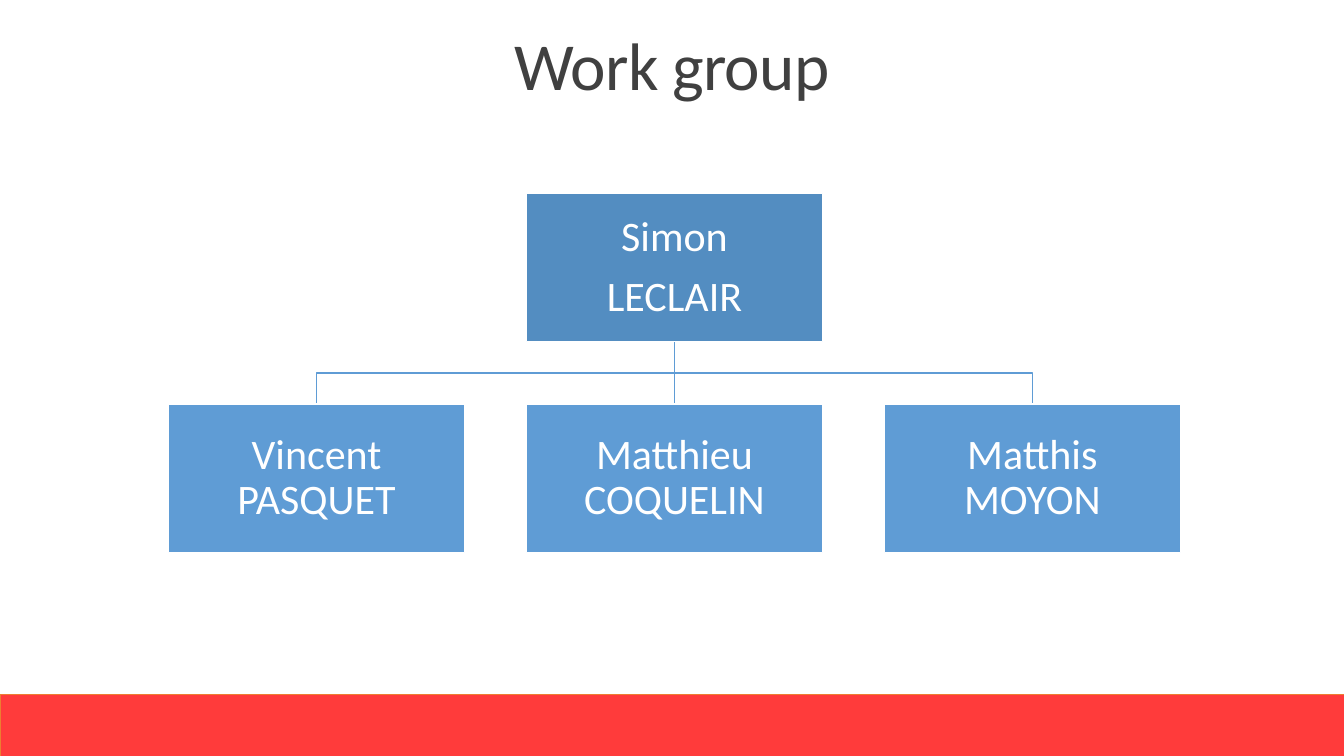
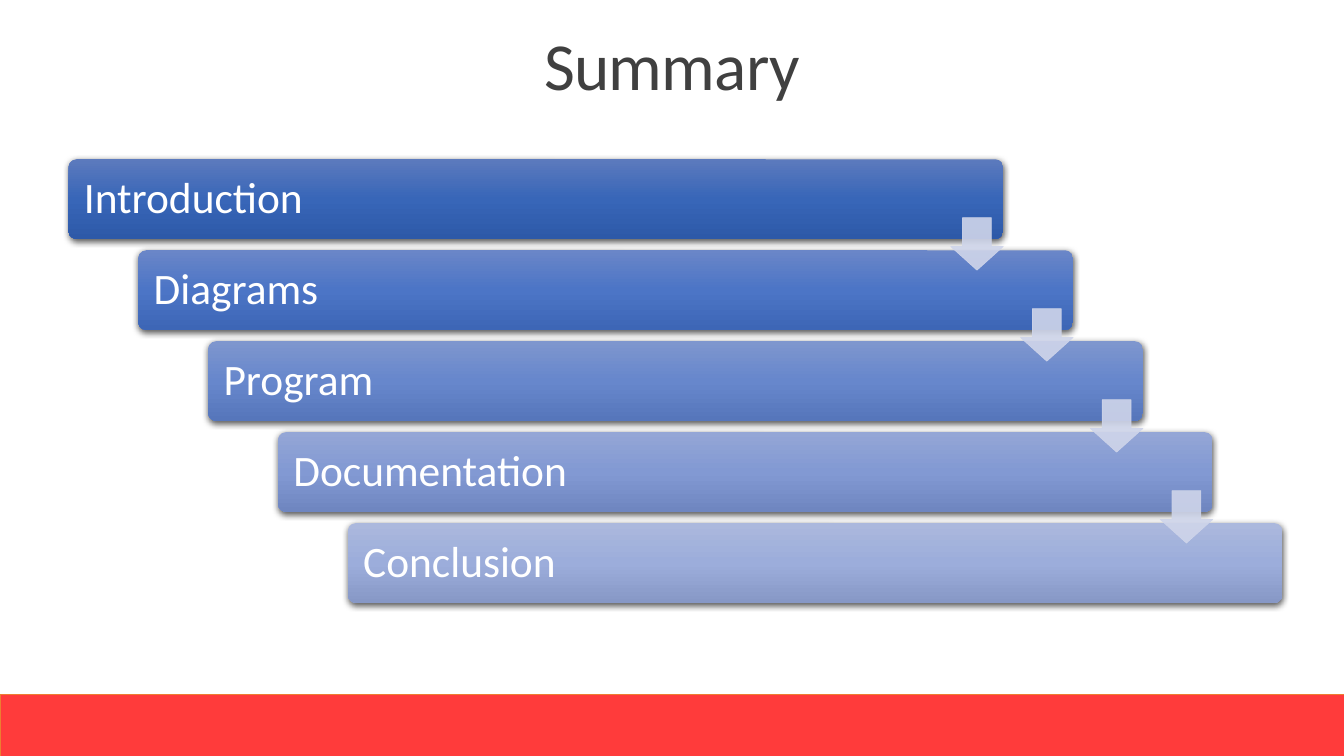
import copy
from dataclasses import dataclass

import lxml.etree
import pptx
import pptx.dml.color
import pptx.enum.shapes
import pptx.enum.text
import pptx.oxml.ns
import pptx.presentation
import pptx.shapes.autoshape
import pptx.slide
import pptx.text.text
import pptx.util

Inches = pptx.util.Inches
Pt = pptx.util.Pt
RGBColor = pptx.dml.color.RGBColor
Shape = pptx.shapes.autoshape.Shape
Slide = pptx.slide.Slide
Kind = pptx.enum.shapes.MSO_SHAPE
Align = pptx.enum.text.PP_ALIGN
Anchor = pptx.enum.text.MSO_ANCHOR
qn = pptx.oxml.ns.qn

FONT = "Calibri"
WHITE = RGBColor(0xFF, 0xFF, 0xFF)
TITLE_GREY = RGBColor(0x40, 0x40, 0x40)
BAND_RED = RGBColor(0xFF, 0x3B, 0x3B)
BAND_EDGE = RGBColor(0xED, 0x7D, 0x31)
LEADER_BLUE = RGBColor(0x53, 0x8D, 0xC1)
MEMBER_BLUE = RGBColor(0x5F, 0x9C, 0xD5)
ARROW_BLUE = RGBColor(0xCF, 0xD5, 0xEA)

SLIDE_WIDTH, SLIDE_HEIGHT = 13.33, 7.5
TITLE_HEIGHT = 1.39
BAND_TOP = 6.89
TITLE_ONLY_LAYOUT = 5


@dataclass(frozen=True)
class Area:
    left: float
    top: float
    width: float
    height: float

    @property
    def center(self) -> float:
        return self.left + self.width / 2

    @property
    def right(self) -> float:
        return self.left + self.width

    @property
    def bottom(self) -> float:
        return self.top + self.height


@dataclass(frozen=True)
class Step:
    label: str
    top_color: RGBColor
    middle_color: RGBColor
    bottom_color: RGBColor


def step(label: str, *colors: str) -> Step:
    return Step(label, *(RGBColor.from_string(color) for color in colors))


# Work group chart
BOX_WIDTH, BOX_HEIGHT = 2.94, 1.47
COLUMN_LEFT, COLUMN_PITCH = 1.67, 3.55
LEADER_TOP, MEMBER_TOP = 1.92, 4.01
LEADER = "Simon\nLECLAIR"
MEMBERS = ["Vincent\vPASQUET", "Matthieu\vCOQUELIN", "Matthis\vMOYON"]

# Summary staircase
FIRST_BAR = Area(0.68, 1.58, 9.27, 0.79)
LAST_LEFT, LAST_TOP = 3.45, 5.19
ARROW_SIZE, ARROW_DROP = 0.52, 0.58
STEPS = [
    step("Introduction", "5C7ABD", "3866B8", "2D59A8"),
    step("Diagrams", "6A86C8", "4C75C6", "3D66B6"),
    step("Program", "7E96CE", "6787CC", "5676BB"),
    step("Documentation", "94A6D6", "8299D3", "6F86C0"),
    step("Conclusion", "ABB8DD", "9CADDB", "8798C6"),
]


def add_plain_shape(slide: Slide, kind: Kind, area: Area) -> Shape:
    """Add a preset shape without the theme's shadow."""
    shape = slide.shapes.add_shape(
        kind, Inches(area.left), Inches(area.top),
        Inches(area.width), Inches(area.height))
    shape.shadow.inherit = False
    return shape


def paint(shape: Shape, fill: RGBColor, line: RGBColor, line_width: float) -> None:
    shape.fill.solid()
    shape.fill.fore_color.rgb = fill
    shape.line.color.rgb = line
    shape.line.width = Pt(line_width)


def format_text(frame: pptx.text.text.TextFrame, size: float, color: RGBColor,
                alignment: Align, line_spacing: float, space_after: float = 0) -> None:
    frame.word_wrap = True
    frame.vertical_anchor = Anchor.MIDDLE
    for para in frame.paragraphs:
        para.alignment = alignment
        para.line_spacing = line_spacing
        para.space_after = Pt(space_after)
        for span in para.runs:
            span.font.name = FONT
            span.font.size = Pt(size)
            span.font.color.rgb = color


def set_margins(frame: pptx.text.text.TextFrame, margin: float) -> None:
    frame.margin_left = frame.margin_right = Inches(margin)
    frame.margin_top = frame.margin_bottom = Inches(margin)


def add_titled_slide(deck: pptx.presentation.Presentation, heading: str) -> Slide:
    """Add a slide with the shared title style and bottom band."""
    slide = deck.slides.add_slide(deck.slide_layouts[TITLE_ONLY_LAYOUT])
    title = slide.shapes.title
    title.left = title.top = 0
    title.width, title.height = Inches(SLIDE_WIDTH), Inches(TITLE_HEIGHT)
    frame = title.text_frame
    frame.text = heading
    frame.auto_size = pptx.enum.text.MSO_AUTO_SIZE.NONE
    format_text(frame, 48, TITLE_GREY, Align.CENTER, 0.85)
    for span in frame.paragraphs[0].runs:
        span.font._element.set("spc", "-50")

    band = add_plain_shape(slide, Kind.RECTANGLE, Area(
        0, BAND_TOP, SLIDE_WIDTH, SLIDE_HEIGHT - BAND_TOP))
    paint(band, BAND_RED, BAND_EDGE, 0.5)
    return slide


def add_straight_link(slide: Slide, x: float, top: float, bottom: float) -> None:
    link = slide.shapes.add_connector(
        pptx.enum.shapes.MSO_CONNECTOR.STRAIGHT,
        Inches(x), Inches(top), Inches(x), Inches(bottom))
    link.line.color.rgb = MEMBER_BLUE
    link.line.width = Pt(1)
    lxml.etree.SubElement(link._element.spPr, qn("a:effectLst"))


def add_bent_link(slide: Slide, start_x: float, top: float,
                  end_x: float, bottom: float) -> None:
    """Draw an open line that goes down, across and down again."""
    branch = (top + bottom) / 2
    corners = [(start_x, branch), (end_x, branch), (end_x, bottom)]
    builder = slide.shapes.build_freeform(Inches(start_x), Inches(top))
    builder.add_line_segments([(Inches(x), Inches(y)) for x, y in corners], close=False)
    link = builder.convert_to_shape()
    link.shadow.inherit = False
    link.fill.background()
    link.line.color.rgb = MEMBER_BLUE
    link.line.width = Pt(1)


def add_person(slide: Slide, name: str, area: Area, fill: RGBColor) -> None:
    box = add_plain_shape(slide, Kind.RECTANGLE, area)
    paint(box, fill, WHITE, 1)
    box.text_frame.text = name
    set_margins(box.text_frame, 0.02)
    format_text(box.text_frame, 30, WHITE, Align.CENTER, 0.9, 10.5)


def build_work_group(deck: pptx.presentation.Presentation) -> None:
    slide = add_titled_slide(deck, "Work group")
    left, middle, right = [
        Area(COLUMN_LEFT + column * COLUMN_PITCH, MEMBER_TOP, BOX_WIDTH, BOX_HEIGHT)
        for column in range(len(MEMBERS))]
    leader = Area(middle.left, LEADER_TOP, BOX_WIDTH, BOX_HEIGHT)

    add_straight_link(slide, leader.center, leader.bottom, MEMBER_TOP)
    for side in (right, left):
        add_bent_link(slide, leader.center, leader.bottom, side.center, MEMBER_TOP)

    add_person(slide, LEADER, leader, LEADER_BLUE)
    for name, area in zip(MEMBERS, (left, middle, right)):
        add_person(slide, name, area, MEMBER_BLUE)


def fill_downwards(shape: Shape, colors: list[RGBColor]) -> None:
    """Fill with evenly spaced gradient stops from top to bottom."""
    shape.fill.gradient()
    shape.fill.gradient_angle = 270
    stop_list = shape._element.spPr.find(qn("a:gradFill")).find(qn("a:gsLst"))
    while len(stop_list) < len(colors):
        stop_list.append(copy.deepcopy(stop_list[0]))
    for index, (stop, color) in enumerate(zip(shape.fill.gradient_stops, colors)):
        stop.position = index / (len(colors) - 1)
        stop.color.rgb = color


def add_soft_shadow(shape: Shape) -> None:
    effects = shape._element.spPr.find(qn("a:effectLst"))
    shadow = lxml.etree.SubElement(
        effects, qn("a:outerShdw"), blurRad=str(Pt(4.5)), dist=str(Pt(1.5)),
        dir="5400000", algn="ctr", rotWithShape="0")
    color = lxml.etree.SubElement(shadow, qn("a:srgbClr"), val="000000")
    lxml.etree.SubElement(color, qn("a:alpha"), val="63000")


def add_bar(slide: Slide, item: Step, area: Area) -> None:
    bar = add_plain_shape(slide, Kind.ROUNDED_RECTANGLE, area)
    bar.adjustments[0] = 0.1
    fill_downwards(bar, [item.top_color, item.middle_color, item.bottom_color])
    bar.line.fill.background()
    add_soft_shadow(bar)
    bar.text_frame.text = item.label
    set_margins(bar.text_frame, 0.13)
    format_text(bar.text_frame, 31, WHITE, Align.LEFT, 0.9, 10.85)


def add_step_arrow(slide: Slide, bar: Area) -> None:
    """Add the translucent arrow leading from a bar to the next one."""
    arrow = add_plain_shape(slide, Kind.DOWN_ARROW, Area(
        bar.right - ARROW_SIZE, bar.top + ARROW_DROP, ARROW_SIZE, ARROW_SIZE))
    arrow.adjustments[0] = 0.55
    arrow.adjustments[1] = 0.45
    paint(arrow, ARROW_BLUE, ARROW_BLUE, 0.5)
    for color in list(arrow._element.spPr.iter(qn("a:srgbClr"))):
        lxml.etree.SubElement(color, qn("a:alpha"), val="90000")


def build_summary(deck: pptx.presentation.Presentation) -> None:
    slide = add_titled_slide(deck, "Summary")
    gaps = len(STEPS) - 1
    shift = (LAST_LEFT - FIRST_BAR.left) / gaps
    pitch = (LAST_TOP - FIRST_BAR.top) / gaps
    bars = [
        Area(FIRST_BAR.left + index * shift, FIRST_BAR.top + index * pitch,
             FIRST_BAR.width, FIRST_BAR.height)
        for index in range(len(STEPS))]
    for item, bar in zip(STEPS, bars):
        add_bar(slide, item, bar)
    for bar in bars[:-1]:
        add_step_arrow(slide, bar)


def main() -> None:
    deck = pptx.Presentation()
    deck.slide_width = Inches(SLIDE_WIDTH)
    deck.slide_height = Inches(SLIDE_HEIGHT)
    build_work_group(deck)
    build_summary(deck)
    deck.save("out.pptx")


if __name__ == "__main__":
    main()
